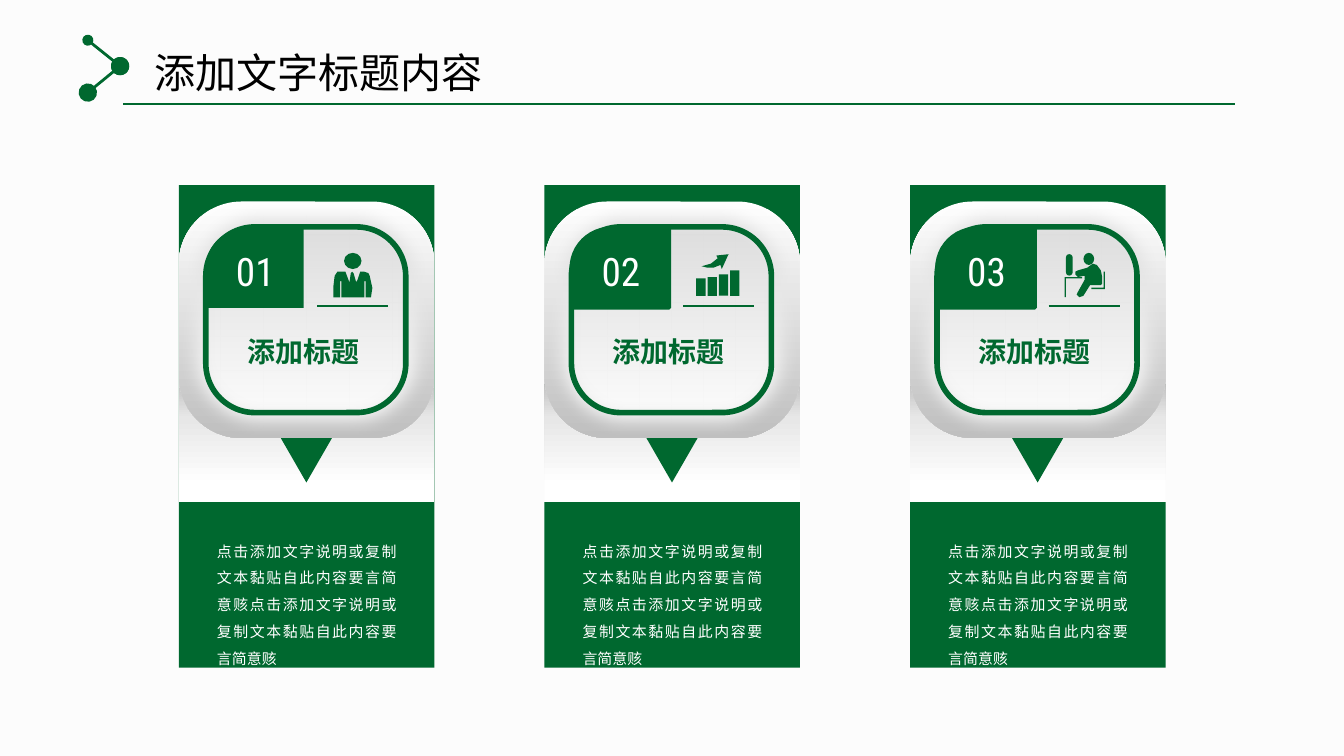
from lxml import etree
from pptx import Presentation
from pptx.dml.color import RGBColor
from pptx.enum.shapes import MSO_CONNECTOR, MSO_SHAPE
from pptx.enum.text import MSO_AUTO_SIZE, PP_ALIGN
from pptx.oxml.ns import qn
from pptx.util import Cm, Pt

RECT, OVAL = MSO_SHAPE.RECTANGLE, MSO_SHAPE.OVAL
ROUNDED, ROUND_CORNER = MSO_SHAPE.ROUNDED_RECTANGLE, MSO_SHAPE.ROUND_1_RECTANGLE
TRIANGLE = MSO_SHAPE.ISOSCELES_TRIANGLE
LEFT, CENTER, JUSTIFY = PP_ALIGN.LEFT, PP_ALIGN.CENTER, PP_ALIGN.JUSTIFY

COLORS = {"green": "00682F", "white": "FFFFFF", "black": "000000", "page": "FCFCFC"}
SHADE = [(0, "BEBEBE"), (32, "E7E7E7"), (86, "FFFFFF")]
RIM = [(0, "FFFFFF"), (100, "BFBFBF")]
FACE = [(0, "D9D9D9"), (100, "FFFFFF")]
CJK, NUMERAL = "Noto Sans CJK SC", "Roboto Condensed"

HEADING = "添加文字标题内容"
CARD_TITLE = "添加标题"
CARD_BODY = "点击添加文字说明或复制文本黏贴自此内容要言简意赅" * 2

CARD_LEFT, CARD_STEP, CARD_WIDTH = 3.38, 6.91, 4.83
ICON_UNIT = 0.0254
ICON_DX, ICON_TOP = 2.92, 4.78

# Icon parts are in icon units from the icon's top left corner.
SUIT = [(27, 17), (26, 15), (23, 14), (20, 14), (18, 20), (14, 27), (17, 22),
        (15, 15), (14, 14), (13, 15), (12, 22), (9, 14), (6, 14), (3, 14),
        (1, 17), (0, 25), (0, 33), (5, 33), (5, 21), (6, 21), (6, 33), (23, 33),
        (23, 21), (24, 21), (24, 33), (28, 33), (29, 26)]
ARROW = [(14, 4), (9, 8), (2, 10), (6, 11), (11, 11), (16, 9), (17, 12), (22, 1), (13, 2)]
DESK = [(0, 18), (13, 18), (13, 19), (1, 19), (1, 33), (0, 33)]
SITTER = [(10, 29), (9, 31), (10, 32), (11, 33), (14, 32), (19, 24), (27, 24),
          (28, 23), (28, 18), (27, 13), (24, 9), (21, 8), (17, 11), (10, 13),
          (8, 14), (8, 16), (10, 18), (15, 17), (15, 20)]
CHAIR = [(20, 26), (29, 26), (29, 14), (30, 14), (30, 27), (20, 27)]
BAR_TOPS = [19, 18, 16, 13]
ICONS = [
    {"presets": [(OVAL, 8, 0, 13, 12)], "outlines": [SUIT]},
    {"presets": [(RECT, -2 + 8.4 * i, top, 7, 32 - top) for i, top in enumerate(BAR_TOPS)],
     "outlines": [ARROW]},
    {"presets": [(ROUNDED, 1, 1, 5, 16), (OVAL, 14, 0, 8, 9)],
     "outlines": [DESK, SITTER, CHAIR]},
]


class Deck:
    def __init__(self, slide):
        self.slide = slide
        self.shapes = slide.shapes

    def color(self, name):
        return RGBColor.from_string(COLORS[name])

    def paint(self, shape, fill, line_width):
        """Fill with a colour name, a list of gradient stops, or nothing."""
        shape.shadow.inherit = False
        if isinstance(fill, list):
            shape.fill.gradient()
            shape.fill.gradient_angle = 270
            stops = shape._element.spPr.find(qn("a:gradFill")).find(qn("a:gsLst"))
            for old in list(stops):
                stops.remove(old)
            for percent, value in fill:
                stop = etree.SubElement(stops, qn("a:gs"), pos=str(percent * 1000))
                etree.SubElement(stop, qn("a:srgbClr"), val=value)
        elif fill:
            shape.fill.solid()
            shape.fill.fore_color.rgb = self.color(fill)
        else:
            shape.fill.background()
        if line_width:
            shape.line.color.rgb = self.color("green")
            shape.line.width = Pt(line_width)
        else:
            shape.line.fill.background()

    def shape(self, kind, x, y, w, h, fill="green", line_width=0, corner=None):
        shape = self.shapes.add_shape(kind, Cm(x), Cm(y), Cm(w), Cm(h))
        if corner is not None:
            shape.adjustments[0] = corner
        self.paint(shape, fill, line_width)
        return shape

    def soften(self, shape, radius):
        effects = shape._element.spPr.find(qn("a:effectLst"))
        etree.SubElement(effects, qn("a:softEdge"), rad=str(Pt(radius)))

    def outline(self, points, x, y):
        builder = self.shapes.build_freeform(*points[0], scale=Cm(ICON_UNIT))
        builder.add_line_segments(points[1:], close=True)
        self.paint(builder.convert_to_shape(Cm(x), Cm(y)), "green", 0)

    def line(self, x1, y1, x2, y2, width, dots=()):
        """Draw a line; dots gives the sizes of the round start and end."""
        line = self.shapes.add_connector(
            MSO_CONNECTOR.STRAIGHT, Cm(x1), Cm(y1), Cm(x2), Cm(y2))
        line.line.color.rgb = self.color("green")
        line.line.width = Pt(width)
        for end, size in zip(("a:headEnd", "a:tailEnd"), dots):
            etree.SubElement(line.line._get_or_add_ln(), qn(end), type="oval", w=size, len=size)
        etree.SubElement(line._element.spPr, qn("a:effectLst"))

    def text(self, words, x, y, w, h, size, color, font=CJK, align=LEFT,
             bold=False, spacing=None, side=0.18):
        frame = self.shapes.add_textbox(Cm(x), Cm(y), Cm(w), Cm(h)).text_frame
        frame.word_wrap = True
        frame.auto_size = MSO_AUTO_SIZE.SHAPE_TO_FIT_TEXT
        frame.margin_left = frame.margin_right = Cm(side)
        frame.margin_top = frame.margin_bottom = Cm(0.1)
        paragraph = frame.paragraphs[0]
        paragraph.alignment = align
        paragraph.line_spacing = spacing
        run = paragraph.add_run()
        run.text = words
        run.font.size = Pt(size)
        run.font.bold = bold
        run.font.color.rgb = self.color(color)
        run.font.name = font
        etree.SubElement(run.font._element, qn("a:ea"), typeface=font)

    def header(self):
        self.line(1.66, 0.76, 2.27, 1.25, 1.5, ("med", "lg"))
        self.line(2.27, 1.25, 1.66, 1.75, 1.5, ("lg", "lg"))
        self.line(2.33, 1.96, 23.34, 1.96, 1)
        self.text(HEADING, 2.18, 0.79, 7.67, 1.14, 22, "black", align=CENTER, side=0.2)

    def icon(self, parts, x, y):
        for kind, dx, dy, w, h in parts["presets"]:
            self.shape(kind, x + dx * ICON_UNIT, y + dy * ICON_UNIT,
                       w * ICON_UNIT, h * ICON_UNIT,
                       corner=0.5 if kind == ROUNDED else None)
        for points in parts["outlines"]:
            self.outline(points, x, y)

    def card(self, number, x, icon):
        self.shape(RECT, x, 3.5, CARD_WIDTH, 9.12)
        self.shape(RECT, x, 7.16, CARD_WIDTH, 2.34, SHADE)
        pointer = self.shape(TRIANGLE, x + 1.65, 7.8, 1.52, 1.32)
        pointer.rotation = 180
        self.shape(ROUNDED, x, 3.81, CARD_WIDTH, 4.47, RIM, corner=0.265)
        face = self.shape(ROUNDED, x, 3.81, CARD_WIDTH, 4.47, FACE, corner=0.265)
        self.soften(face, 10)
        self.shape(ROUNDED, x + 0.51, 4.29, 3.78, 3.51, None, 3, 0.265)
        tab = self.shape(ROUND_CORNER, x + 0.51, 4.32, 1.85, 1.5,
                         line_width=0 if number == 1 else 2, corner=0.5)
        tab._element.spPr.xfrm.set("flipH", "1")
        self.text(f"{number:02d}", x + 0.71, 4.57, 1.47, 1.14, 21, "white",
                  NUMERAL, CENTER, side=0.25)
        self.text(CARD_TITLE, x + 1.11, 6.22, 2.84, 0.84, 15, "green", bold=True)
        self.line(x + 2.62, 5.79, x + 3.96, 5.79, 1.25)
        self.icon(icon, x + ICON_DX, ICON_TOP)
        self.text(CARD_BODY, x + 0.54, 9.98, 3.76, 2.77, 8, "white",
                  align=JUSTIFY, spacing=1.5)


def main():
    presentation = Presentation()
    presentation.slide_width, presentation.slide_height = Cm(25.4), Cm(14.29)
    deck = Deck(presentation.slides.add_slide(presentation.slide_layouts[6]))
    background = deck.slide.background.fill
    background.solid()
    background.fore_color.rgb = deck.color("page")
    deck.header()
    for index, icon in enumerate(ICONS):
        deck.card(index + 1, CARD_LEFT + index * CARD_STEP, icon)
    presentation.save("out.pptx")


if __name__ == "__main__":
    main()
